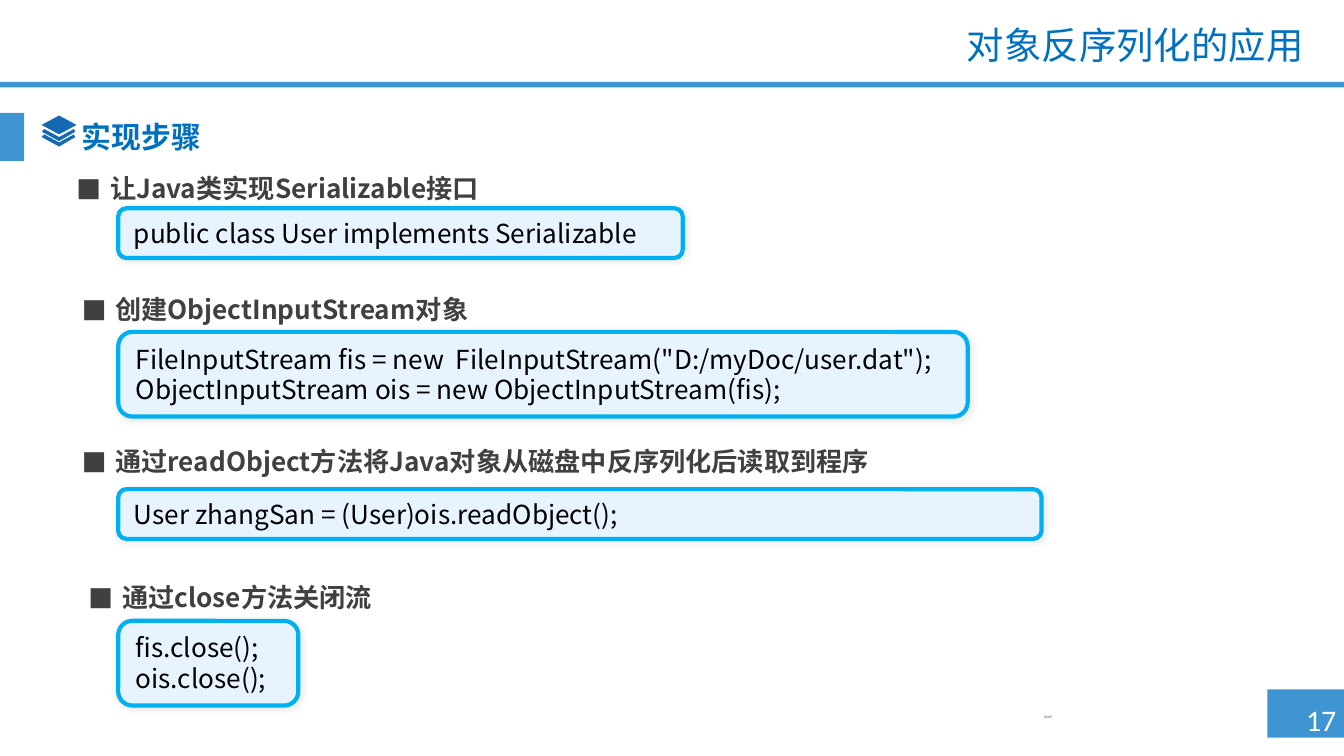
from lxml.etree import SubElement
from pptx import Presentation
from pptx.dml.color import RGBColor
from pptx.enum.shapes import MSO_SHAPE
from pptx.enum.text import MSO_ANCHOR, PP_ALIGN
from pptx.oxml import parse_xml
from pptx.oxml.ns import nsdecls, qn
from pptx.util import Inches, Pt

SANS = "Noto Sans CJK SC"
BAND_BLUE, TITLE_BLUE, ICON_BLUE = "3F95D2", "0070C0", "136AB3"
CODE_FILL, CODE_LINE = "E7F4FF", "00B0F0"
CODE_LEFT = 0.88

# Step heading, its left, top and width; code lines, and the top, width and height of their box
STEPS = [
    ("让Java类实现Serializable接口", 0.47, 1.12, 4.02,
     ["public class User implements Serializable"], 1.55, 4.2, 0.37),
    ("创建ObjectInputStream对象", 0.51, 2.02, 4.02,
     ['FileInputStream fis = new  FileInputStream("D:/myDoc/user.dat");',
      "ObjectInputStream ois = new ObjectInputStream(fis);"], 2.47, 6.32, 0.63),
    ("通过readObject方法将Java对象从磁盘中反序列化后读取到程序", 0.51, 3.15, 6.38,
     ["User zhangSan = (User)ois.readObject();"], 3.64, 6.87, 0.37),
    ("通过close方法关闭流", 0.56, 4.16, 5.43,
     ["fis.close();", "ois.close();"], 4.62, 1.34, 0.63),
]


def color(hex_string):
    return RGBColor.from_string(hex_string)


def box(*lengths):
    return [Inches(length) for length in lengths]


def format_paragraph(paragraph, size, hex_string, font_name=SANS, bold=False,
                     align=PP_ALIGN.LEFT, spacing=None):
    paragraph.alignment = align
    paragraph.line_spacing = spacing
    font = paragraph.font
    font.size, font.bold, font.name = Pt(size), bold, font_name
    font.color.rgb = color(hex_string)
    east_asian = SubElement(paragraph._p.pPr.find(qn("a:defRPr")), qn("a:ea"))
    east_asian.set("typeface", SANS)


def add_bullet(paragraph):
    properties = paragraph._p.get_or_add_pPr()
    properties.set("marL", str(Inches(0.25)))
    properties.set("indent", str(Inches(-0.25)))
    SubElement(properties, qn("a:buFont")).set("typeface", "Calibri")
    SubElement(properties, qn("a:buChar")).set("char", "■")


def add_text(slide, text, position, size, hex_string, bullet=False, wrap=True,
             anchor=MSO_ANCHOR.TOP, **style):
    frame = slide.shapes.add_textbox(*box(*position)).text_frame
    frame.word_wrap = wrap
    frame.vertical_anchor = anchor
    paragraph = frame.paragraphs[0]
    paragraph.text = text
    if bullet:
        add_bullet(paragraph)
    format_paragraph(paragraph, size, hex_string, **style)


def fill_plain(shape, hex_string):
    shape.shadow.inherit = False
    shape.fill.solid()
    shape.fill.fore_color.rgb = color(hex_string)
    shape.line.fill.background()


def add_band(slide, *position):
    fill_plain(slide.shapes.add_shape(MSO_SHAPE.RECTANGLE, *box(*position)), BAND_BLUE)


def add_outline(slide, points):
    start, *others = [box(*point) for point in points]
    builder = slide.shapes.build_freeform(*start)
    builder.add_line_segments(others, close=True)
    fill_plain(builder.convert_to_shape(), ICON_BLUE)


def add_layers_icon(slide):
    for top in (0.96, 1.0):
        add_outline(slide, [(0.31, top + 0.02), (0.33, top), (0.44, top + 0.06),
                            (0.55, top), (0.56, top + 0.02), (0.44, top + 0.09)])
    add_outline(slide, [(0.31, 0.93), (0.44, 0.86), (0.57, 0.93), (0.44, 1.0)])


def add_soft_shadow(shape):
    effects = shape._element.spPr.find(qn("a:effectLst"))
    effects.append(parse_xml(
        f'<a:outerShdw {nsdecls("a")} blurRad="{Pt(4)}" dist="{Pt(1)}" dir="2700000">'
        '<a:srgbClr val="000000"><a:alpha val="10000"/></a:srgbClr></a:outerShdw>'))


def add_code_box(slide, lines, top, width, height):
    shape = slide.shapes.add_shape(MSO_SHAPE.ROUNDED_RECTANGLE,
                                   *box(CODE_LEFT, top, width, height))
    fill_plain(shape, CODE_FILL)
    shape.line.color.rgb = color(CODE_LINE)
    shape.line.width = Pt(2.25)
    add_soft_shadow(shape)
    frame = shape.text_frame
    frame.vertical_anchor = MSO_ANCHOR.MIDDLE
    frame.text = "\n".join(lines)
    for paragraph in frame.paragraphs:
        format_paragraph(paragraph, 14, "000000", spacing=Pt(16.5))


def set_title(slide, text):
    title = slide.shapes.title
    title.left, title.top, title.width, title.height = box(2.4, 0.15, 7.4, 0.4)
    title.text_frame.text = text
    title.text_frame.vertical_anchor = MSO_ANCHOR.MIDDLE
    format_paragraph(title.text_frame.paragraphs[0], 20, TITLE_BLUE, "Lato",
                     align=PP_ALIGN.RIGHT, spacing=0.9)


def main():
    presentation = Presentation()
    presentation.slide_width = Inches(10)
    presentation.slide_height = presentation.slide_width * 9 // 16
    slide = presentation.slides.add_slide(presentation.slide_layouts[5])

    add_band(slide, 9.43, 5.13, 0.57, 0.36)
    add_band(slide, 0, 0.61, 10, 0.04)
    add_band(slide, 0, 0.84, 0.18, 0.36)
    add_text(slide, "17", (9.57, 5.17, 0.52, 0.37), 16, "FFFFFF", wrap=False,
             font_name="Calibri", align=PP_ALIGN.CENTER)
    add_text(slide, "17/47", (7.67, 5.27, 2.33, 0.3), 1.8, "000000", font_name="Calibri")

    set_title(slide, "对象反序列化的应用")
    add_layers_icon(slide)
    add_text(slide, "实现步骤", (0.51, 0.84, 8.19, 0.39), 16, TITLE_BLUE, bold=True,
             anchor=MSO_ANCHOR.MIDDLE, spacing=0.9)
    for heading, left, top, width, lines, *code_position in STEPS:
        add_text(slide, heading, (left, top, width, 0.39), 14, "404040", bullet=True,
                 bold=True, spacing=Pt(25))
        add_code_box(slide, lines, *code_position)

    presentation.save("out.pptx")


if __name__ == "__main__":
    main()
